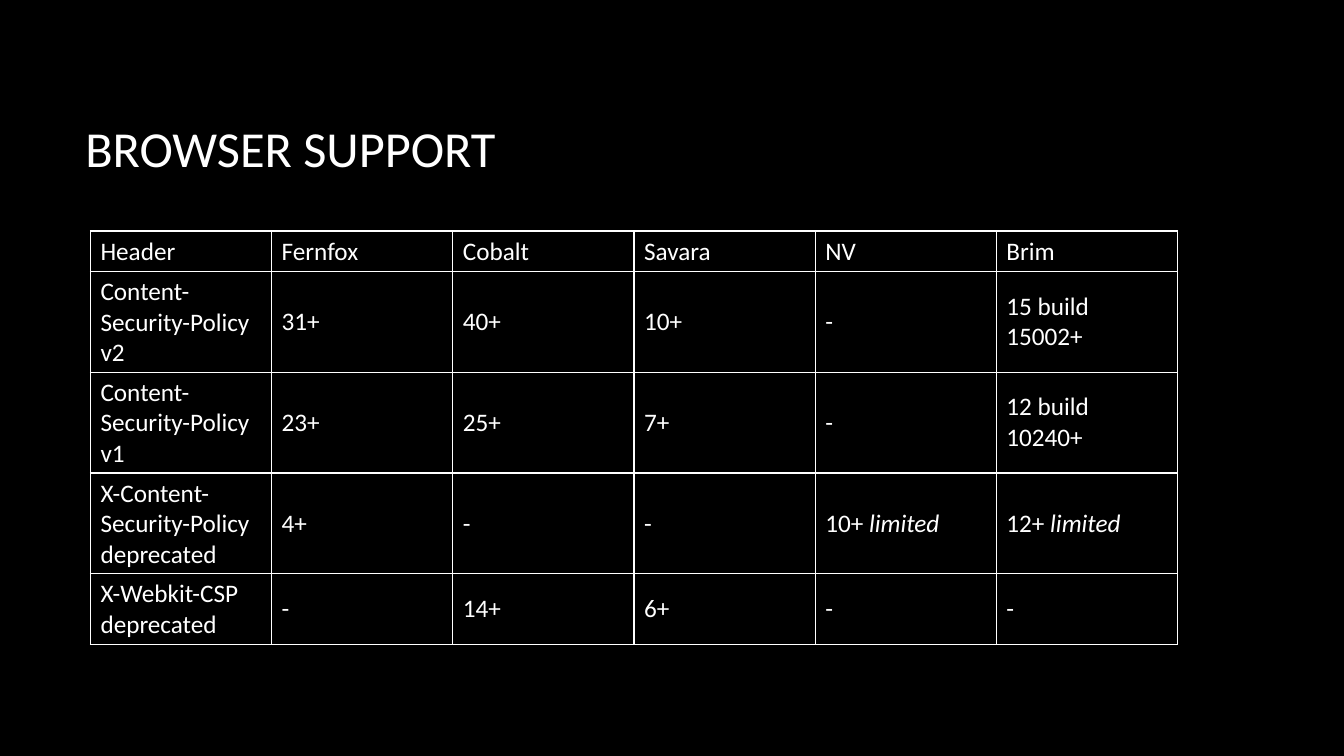
from lxml import etree
from pptx import Presentation
from pptx import util as u
from pptx.dml.color import RGBColor
from pptx.enum import text as t
from pptx.oxml.ns import qn

BLACK, WHITE = "000000", "FFFFFF"
ROWS = [
    ["Header", "Fernfox", "Cobalt", "Savara", "NV", "Brim"],
    ["Content-Security-Policy v2", "31+", "40+", "10+", "-", "15 build 15002+"],
    ["Content-Security-Policy v1", "23+", "25+", "7+", "-", "12 build 10240+"],
    ["X-Content-Security-Policy deprecated", "4+", "-", "-",
     ("10+ ", "limited"), ("12+ ", "limited")],
    ["X-Webkit-CSP deprecated", "-", "14+", "6+", "-", "-"],
]
HEIGHTS = [1, 2.46, 2.46, 2.46, 1.73]


def paint(fill, color):
    fill.solid()
    fill.fore_color.rgb = RGBColor.from_string(color)


def write(par, words, size=18, color=WHITE, italic=False):
    run = par.add_run()
    run.text = words
    font = run.font
    font.name, font.size = "Calibri", u.Pt(size)
    font.bold, font.italic = False, italic
    font.color.rgb = RGBColor.from_string(color)


def border(cell, color=WHITE, width=1):
    props = cell._tc.get_or_add_tcPr()
    for side in ("lnL", "lnR", "lnT", "lnB"):
        line = etree.SubElement(props, qn("a:" + side), w=str(u.Pt(width)))
        fill = etree.SubElement(line, qn("a:solidFill"))
        etree.SubElement(fill, qn("a:srgbClr"), val=color)


def title(slide, words, left, top, width, height):
    box = slide.shapes.add_textbox(u.Cm(left), u.Cm(top), u.Cm(width), u.Cm(height))
    frame = box.text_frame
    frame.word_wrap = True
    frame.vertical_anchor = t.MSO_ANCHOR.MIDDLE
    write(frame.paragraphs[0], words, size=36)


def grid(slide, rows, heights, left, top, width):
    count = len(rows[0])
    table = slide.shapes.add_table(len(rows), count, u.Cm(left), u.Cm(top),
                                   u.Cm(width), u.Cm(sum(heights))).table
    table.first_row = table.horz_banding = False
    for col in table.columns:
        col.width = u.Cm(width / count)
    for r, (row, height) in enumerate(zip(rows, heights)):
        table.rows[r].height = u.Cm(height)
        for c, entry in enumerate(row):
            cell = table.cell(r, c)
            cell.vertical_anchor = t.MSO_ANCHOR.MIDDLE
            border(cell)
            paint(cell.fill, BLACK)
            # The second part of a split entry is a remark in italics
            parts = (entry,) if isinstance(entry, str) else entry
            for i, words in enumerate(parts):
                write(cell.text_frame.paragraphs[0], words, italic=i > 0)


def main():
    deck = Presentation()
    deck.slide_width, deck.slide_height = u.Cm(33.87), u.Cm(19.05)
    slide = deck.slides.add_slide(deck.slide_layouts[6])
    paint(slide.background.fill, BLACK)

    # Heading
    title(slide, "BROWSER SUPPORT", 1.9, 1.7, 28.15, 4.04)
    # Support table
    grid(slide, ROWS, HEIGHTS, 2.28, 5.82, 27.4)

    deck.save("out.pptx")


if __name__ == "__main__":
    main()
